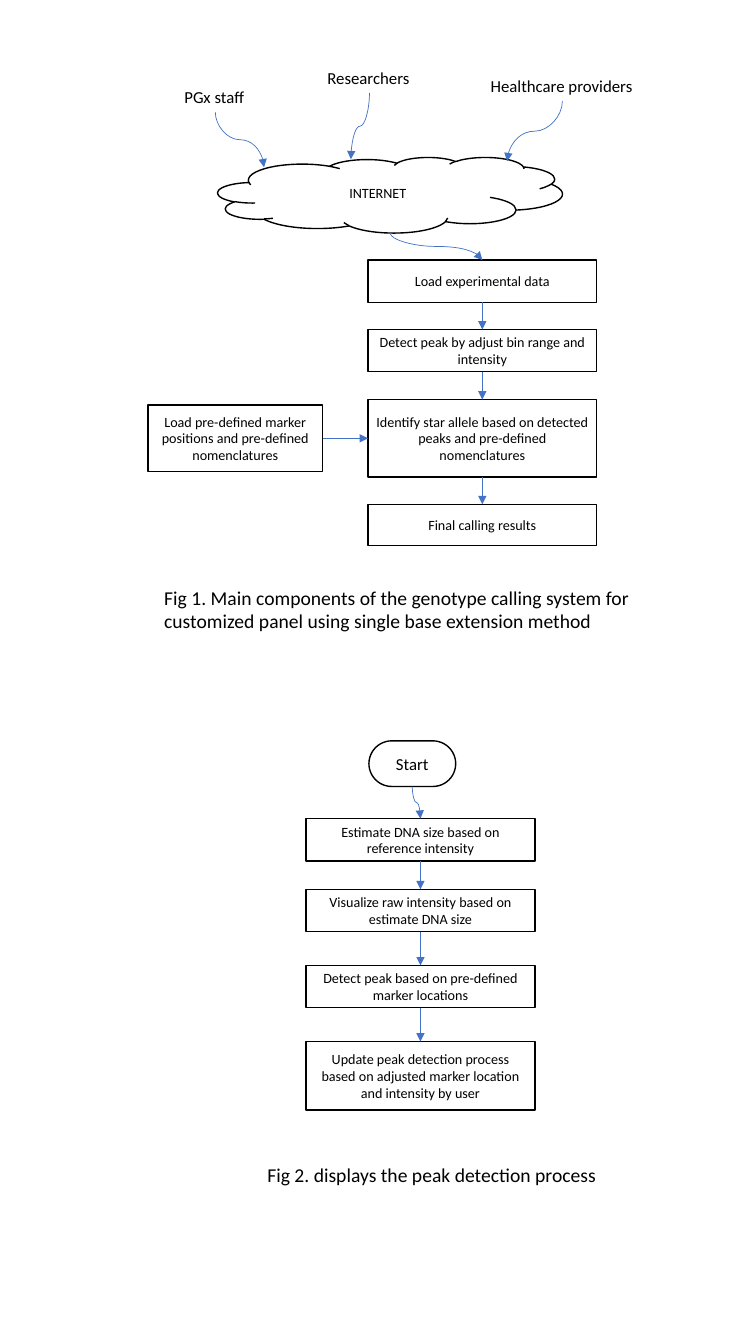
from lxml.etree import SubElement
from pptx import Presentation
from pptx.dml.color import RGBColor
from pptx.enum.shapes import MSO_CONNECTOR as LINK, MSO_SHAPE as FORM
from pptx.enum.text import MSO_ANCHOR as ANCHOR, PP_ALIGN as ALIGN
from pptx.oxml.ns import qn
from pptx.util import Pt

BLACK, WHITE, BLUE = "000000", "FFFFFF", "4472C4"
BOX_W = 163.5
TOP, LEFT, BOTTOM, RIGHT = range(4)  # connection sites of a rectangle

# text, left, top, width, tip of its arrow on the cloud
USERS = [
    ("PGx staff", 124.6, 58.3, 58.3, (188.6, 119.5)),
    ("Researchers", 226.8, 44.6, 74.2, (250.6, 113.8)),
    ("Healthcare providers", 343.4, 50.4, 116.6, (362.2, 115.2)),
]
LABEL_H = 21.8
CLOUD = (155.5, 112.3, 246.2, 54)
START = (263.5, 529.2, 62, 32.6)

# text, top, height
CALLING_X = 262.8
CALLING = [
    ("Load experimental data", 185.8, 30.2),
    ("Detect peak by adjust bin range and intensity", 235.4, 30.2),
    ("Identify star allele based on detected peaks and pre-defined nomenclatures",
     285.4, 55.4),
    ("Final calling results", 360.2, 29.3),
]
MARKERS = "Load pre-defined marker positions and pre-defined nomenclatures"
MARKERS_AT = (105.8, 289.3, 124.6, 47.6)
PEAKS_X = 218.6
PEAKS = [
    ("Estimate DNA size based on reference intensity", 584.8, 30.2),
    ("Visualize raw intensity based on estimate DNA size", 635.2, 30.2),
    ("Detect peak based on pre-defined marker locations", 689.6, 30.2),
    ("Update peak detection process based on adjusted marker location "
     "and intensity by user", 744, 49),
]
CAPTIONS = [
    ("Fig 1. Main components of the genotype calling system for customized "
     "panel using single base extension method", (110.2, 414.7, 365, 41), ALIGN.LEFT),
    ("Fig 2. displays the peak detection process", (126, 827.3, 365, 24.5),
     ALIGN.CENTER),
]

deck = Presentation()
deck.slide_width, deck.slide_height = Pt(540), Pt(960)
shapes = deck.slides.add_slide(deck.slide_layouts[6]).shapes


def tint(color, code):
    color.rgb = RGBColor.from_string(code)


def write(shape, text, size, align):
    shape.text_frame.text = text
    para = shape.text_frame.paragraphs[0]
    para.alignment = align
    para.font.name, para.font.size = "Calibri", Pt(size)
    tint(para.font.color, BLACK)


def label(text, at, size, align=ALIGN.LEFT, wrap=False):
    box = shapes.add_textbox(*map(Pt, at))
    box.text_frame.word_wrap = wrap
    write(box, text, size, align)


def node(text, at, form=FORM.RECTANGLE, size=10.1, fill=None):
    shape = shapes.add_shape(form, *map(Pt, at))
    shape.shadow.inherit = False
    if fill:
        shape.fill.solid()
        tint(shape.fill.fore_color, fill)
    else:
        shape.fill.background()
    tint(shape.line.color, BLACK)
    shape.line.width = Pt(1)
    frame = shape.text_frame
    frame.word_wrap, frame.vertical_anchor = True, ANCHOR.MIDDLE
    frame.margin_left = frame.margin_right = Pt(6)
    write(shape, text, size, ALIGN.CENTER)
    return shape


def arrow(kind, start=(0, 0), end=(0, 0)):
    link = shapes.add_connector(kind, *map(Pt, start + end))
    tint(link.line.color, BLUE)
    link.line.width = Pt(0.5)
    SubElement(link.line._get_or_add_ln(), qn("a:tailEnd"), type="triangle")
    SubElement(link._element.spPr, qn("a:effectLst"))
    return link


def join(a, b, out=BOTTOM, into=TOP):
    link = arrow(LINK.STRAIGHT)
    link.begin_connect(a, out)
    link.end_connect(b, into)


def bend(start, end):
    """Curved arrow that leaves and arrives vertically: a turned connector."""
    (x1, y1), (x2, y2) = start, end
    wide, high = y2 - y1, abs(x2 - x1)
    left, top = (x1 + x2 - wide) / 2, (y1 + y2 - high) / 2
    link = arrow(LINK.CURVE, (left, top), (left + wide, top + high))
    xfrm = link._element.spPr.find(qn("a:xfrm"))
    if x2 > x1:
        xfrm.set("rot", "16200000")
        xfrm.set("flipH", "1")
    else:
        xfrm.set("rot", "5400000")


def foot(left, top, width, height):
    return left + width / 2, top + height


def chain(steps, left):
    """Column of boxes, each joined to the next; returns the boxes."""
    boxes = [node(text, (left, top, BOX_W, high), fill=WHITE)
             for text, top, high in steps]
    for a, b in zip(boxes, boxes[1:]):
        join(a, b)
    return boxes


calling = chain(CALLING, CALLING_X)
join(node(MARKERS, MARKERS_AT, fill=WHITE), calling[2], RIGHT, LEFT)
node("INTERNET", CLOUD, FORM.CLOUD)
for text, left, top, width, tip in USERS:
    at = (left, top, width, LABEL_H)
    label(text, at, 12)
    bend(foot(*at), tip)
bend(foot(*CLOUD), (CALLING_X + BOX_W / 2, CALLING[0][1]))

chain(PEAKS, PEAKS_X)
start = node("Start", START, FORM.ROUNDED_RECTANGLE, 12)
start.adjustments[0] = 0.5
bend(foot(*START), (PEAKS_X + BOX_W / 2, PEAKS[0][1]))

for text, at, align in CAPTIONS:
    label(text, at, 14, align, wrap=True)

deck.save("out.pptx")
